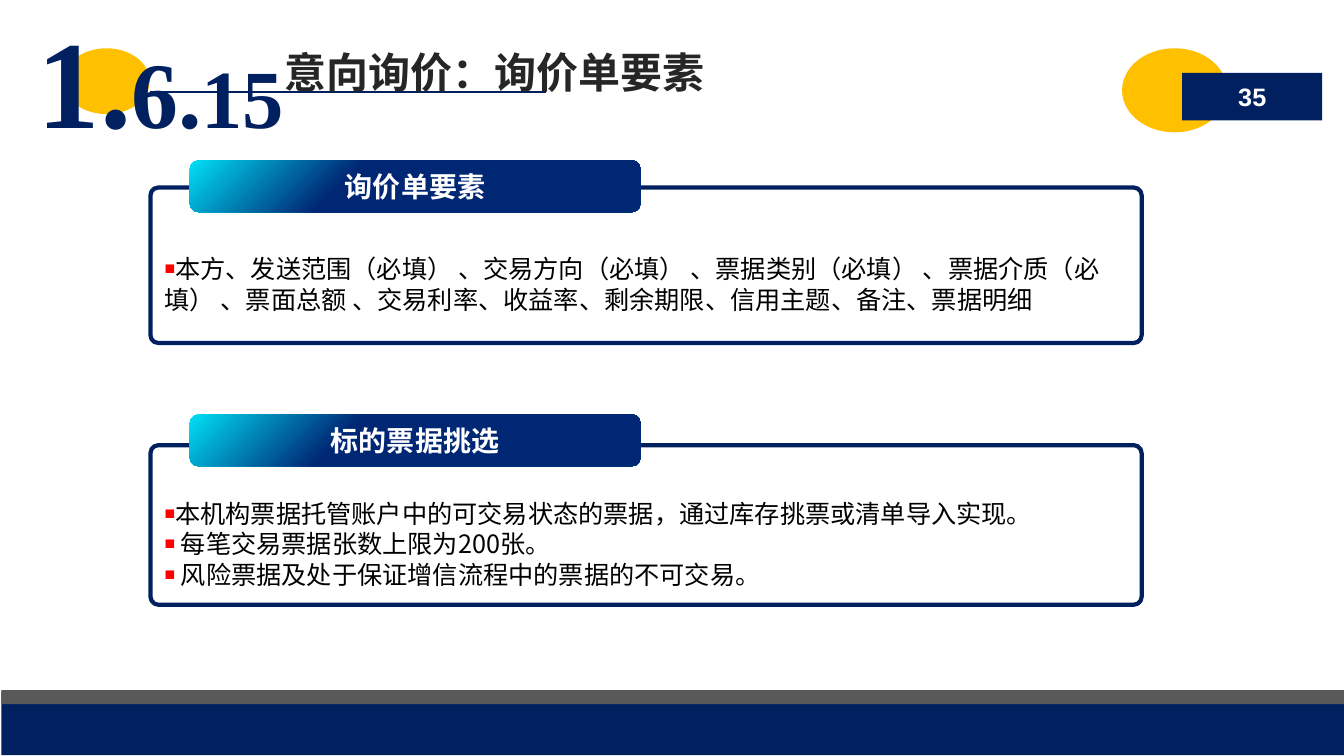
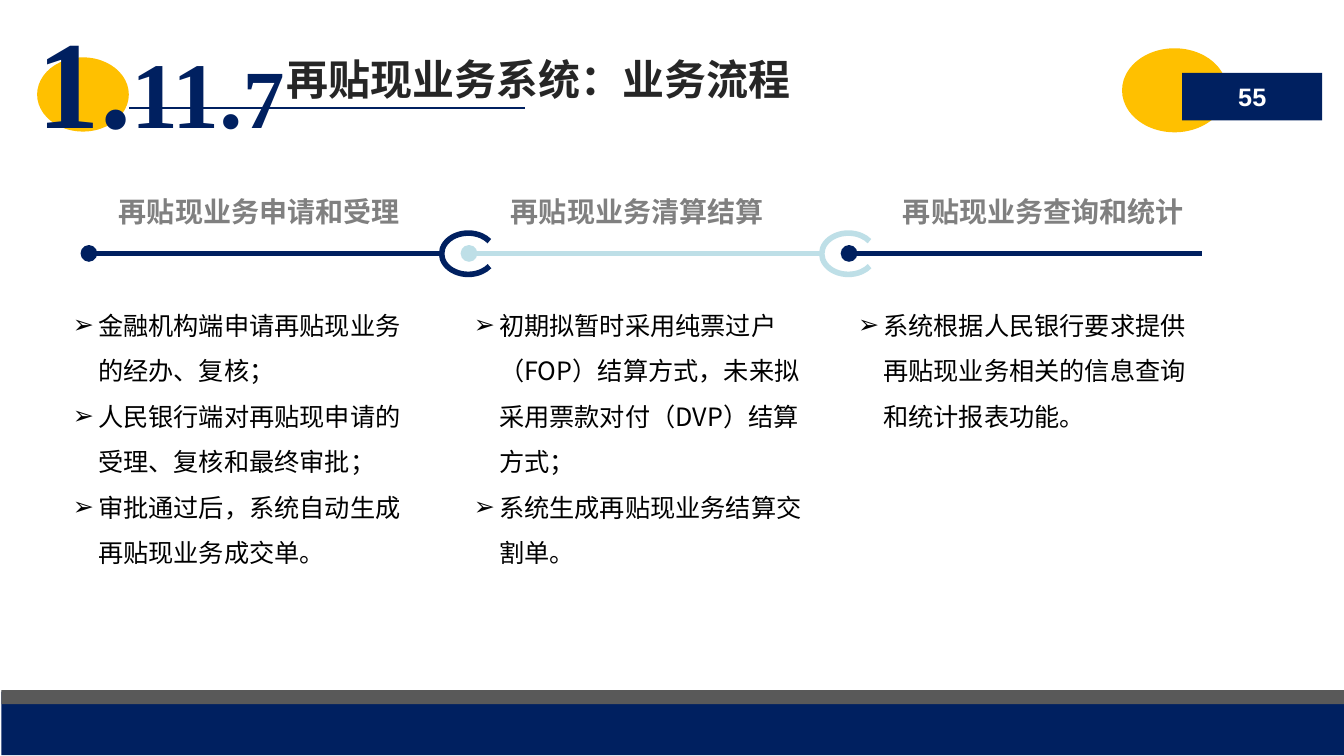
from lxml import etree
from pptx import Presentation
from pptx.dml.color import RGBColor
from pptx.enum import shapes, text
from pptx.oxml.ns import qn
from pptx.util import Pt

COLORS = {
    "navy": "002060", "gold": "FFC000", "slate": "595959", "ink": "262626",
    "white": "FFFFFF", "black": "000000", "red": "FF0000", "grey": "808080",
    "cyan": "00DFF6", "blue": "002774", "ice": "BEDFE7",
}
CJK, SANS, SERIF = "Noto Sans CJK SC", "Arial", "Times New Roman"
SHAPE = shapes.MSO_SHAPE
CENTER = text.PP_ALIGN.CENTER
TOP, MIDDLE = text.MSO_ANCHOR.TOP, text.MSO_ANCHOR.MIDDLE

INQUIRY = {
    "page": "35", "number": ("1.", "6.", "15"), "title": "意向询价：询价单要素",
    "accent": (45, 34.5, 62, 47), "rule_y": 66, "title_at": (203, 29),
}
INQUIRY_PANELS = [
    {"heading": "询价单要素", "tab_top": 114.5, "top": 134, "height": 111, "items": [
        "本方、发送范围（必填） 、交易方向（必填） 、票据类别（必填） 、票据介质（必填） 、"
        "票面总额 、交易利率、收益率、剩余期限、信用主题、备注、票据明细"]},
    {"heading": "标的票据挑选", "tab_top": 296, "top": 318, "height": 114, "items": [
        "本机构票据托管账户中的可交易状态的票据，通过库存挑票或清单导入实现。",
        " 每笔交易票据张数上限为200张。",
        " 风险票据及处于保证增信流程中的票据的不可交易。"]},
]
REDISCOUNT = {
    "page": "55", "number": ("1.", "11.", "7"), "title": "再贴现业务系统：业务流程",
    "accent": (26.5, 41, 65.5, 53), "rule_y": 77, "title_at": (205, 34.5),
}
REDISCOUNT_STAGES = [
    {"heading": "再贴现业务申请和受理", "color": "navy", "text_left": 20, "items": [
        "金融机构端申请再贴现业务的经办、复核；",
        "人民银行端对再贴现申请的受理、复核和最终审批；",
        "审批通过后，系统自动生成再贴现业务成交单。"]},
    {"heading": "再贴现业务清算结算", "color": "ice", "text_left": 306.5, "items": [
        "初期拟暂时采用纯票过户（FOP）结算方式，未来拟采用票款对付（DVP）结算方式；",
        "系统生成再贴现业务结算交割单。"]},
    {"heading": "再贴现业务查询和统计", "color": "navy", "text_left": 581, "items": [
        "系统根据人民银行要求提供再贴现业务相关的信息查询和统计报表功能。"]},
]


def rgb(name):
    return RGBColor.from_string(COLORS[name])


def style(font, size, color, name=CJK, bold=False):
    font.size, font.bold, font.name = Pt(size), bold, name
    font.color.rgb = rgb(color)


def add_span(para, words, size, color, name=CJK, bold=False):
    """Add a run whose East Asian font is set as well as its Latin one."""
    span = para.add_run()
    span.text = words
    style(span.font, size, color, name, bold)
    east_asian = etree.Element(qn("a:ea"), typeface=CJK)
    span.font._element.find(qn("a:latin")).addnext(east_asian)


def prepare_frame(box, margins=(0, 0, 0, 0), anchor=MIDDLE, wrap=True):
    """Set margins (left, top, right, bottom), anchor and wrapping."""
    frame = box.text_frame
    frame.margin_left, frame.margin_top, frame.margin_right, frame.margin_bottom = map(Pt, margins)
    frame.vertical_anchor, frame.word_wrap = anchor, wrap
    return frame


def add_box(slide, place, **layout):
    return prepare_frame(slide.shapes.add_textbox(*map(Pt, place)), **layout)


def add_block(slide, kind, place, fill=None, line=None, width=3):
    block = slide.shapes.add_shape(kind, *map(Pt, place))
    block.shadow.inherit = False
    if fill:
        block.fill.solid()
        block.fill.fore_color.rgb = rgb(fill)
    else:
        block.fill.background()
    if line:
        block.line.color.rgb = rgb(line)
        block.line.width = Pt(width)
    else:
        block.line.fill.background()
    return block


def add_line(slide, left, right, y, color, width, dot=False):
    line = slide.shapes.add_connector(
        shapes.MSO_CONNECTOR.STRAIGHT, Pt(left), Pt(y), Pt(right), Pt(y))
    line.line.color.rgb = rgb(color)
    line.line.width = Pt(width)
    if dot:
        etree.SubElement(line.line._get_or_add_ln(), qn("a:headEnd"), type="oval")
    etree.SubElement(line._element.spPr, qn("a:effectLst"))


def add_bullets(frame, items, mark, spacing, left=0, hanging=0, color=None, percent=100):
    for index, item in enumerate(items):
        para = frame.add_paragraph() if index else frame.paragraphs[0]
        props = para._p.get_or_add_pPr()
        props.set("marL", str(Pt(left)))
        props.set("indent", str(-Pt(hanging)))
        if color:
            tint = etree.SubElement(props, qn("a:buClr"))
            etree.SubElement(tint, qn("a:srgbClr"), val=COLORS[color])
        etree.SubElement(props, qn("a:buSzPct"), val=str(percent * 1000))
        etree.SubElement(props, qn("a:buFont"), typeface=SANS)
        etree.SubElement(props, qn("a:buChar"), char=mark)
        para.alignment = text.PP_ALIGN.LEFT
        para.line_spacing = Pt(spacing)
        add_span(para, item, 18, "black")


def add_framed_slide(deck, head):
    """Add a slide with the footer bands, title, page badge and section number."""
    slide = deck.slides.add_slide(deck.slide_layouts[6])
    add_block(slide, SHAPE.RECTANGLE, (1, 494, 959, 45.5), "navy")
    add_block(slide, SHAPE.RECTANGLE, (1, 493, 959, 10), "slate")

    left, _, width, _ = head["accent"]
    add_block(slide, SHAPE.OVAL, head["accent"], "gold")
    add_line(slide, left + width, left + width + 283, head["rule_y"], "navy", 1.5)
    title = add_box(slide, (*head["title_at"], 500, 44))
    add_span(title.paragraphs[0], head["title"], 30, "ink", bold=True)

    add_block(slide, SHAPE.OVAL, (801.5, 34.5, 75, 60), "gold")
    badge = prepare_frame(add_block(slide, SHAPE.RECTANGLE, (844.5, 52, 100, 34), "navy"))
    badge.paragraphs[0].alignment = CENTER
    add_span(badge.paragraphs[0], head["page"], 18, "white", SANS, True)

    number = add_box(slide, (18.5, -11.5, 203, 116.5), margins=(8.5, 14, 8.5, 4),
                     anchor=TOP, wrap=False)
    for part, size in zip(head["number"], (89, 67, 59)):
        add_span(number.paragraphs[0], part, size, "navy", SERIF, True)
    return slide


def add_panel(slide, panel):
    body = add_block(slide, SHAPE.ROUNDED_RECTANGLE,
                     (107.5, panel["top"], 708, panel["height"]), "white", "navy")
    body.adjustments[0] = 0.05
    frame = prepare_frame(body, margins=(8.5, 52.5, 8.5, 26))
    add_bullets(frame, panel["items"], "■", 22, color="red", percent=70)

    tab = add_block(slide, SHAPE.ROUNDED_RECTANGLE, (135.5, panel["tab_top"], 322, 37))
    tab.fill.gradient()
    tab.fill.gradient_angle = 315
    for stop, color, position in zip(tab.fill.gradient_stops, ("cyan", "blue"), (0, 0.35)):
        stop.color.rgb = rgb(color)
        stop.position = position
    heading = prepare_frame(tab).paragraphs[0]
    heading.alignment = CENTER
    add_span(heading, panel["heading"], 20, "white", bold=True)


def add_stages(slide, stages):
    axis, length, step = 181, 252, 271.5
    for index, stage in enumerate(stages):
        start = 63.5 + index * step
        add_line(slide, start, start + length, axis, stage["color"], 4, dot=True)
        if index < len(stages) - 1:
            hook = add_block(slide, SHAPE.ARC, (start + length, axis - 14.5, 38, 29.5),
                             line=stage["color"], width=4)
            hook.adjustments[0], hook.adjustments[1] = 18.21, 197.52
        heading = add_box(slide, (80 + index * 280, 136, 275, 29.5),
                          margins=(5, 3, 5, 3), wrap=False)
        add_span(heading.paragraphs[0], stage["heading"], 20, "grey", SANS, True)
        body = add_box(slide, (stage["text_left"], 207.5, 278.5, 201.5),
                       margins=(5, 3, 5, 3), anchor=TOP)
        add_bullets(body, stage["items"], "➢", 32.5, left=45, hanging=18)


def main():
    deck = Presentation()
    deck.slide_width, deck.slide_height = Pt(960), Pt(540)
    inquiry = add_framed_slide(deck, INQUIRY)
    for panel in INQUIRY_PANELS:
        add_panel(inquiry, panel)
    add_stages(add_framed_slide(deck, REDISCOUNT), REDISCOUNT_STAGES)
    deck.save("out.pptx")


if __name__ == "__main__":
    main()
